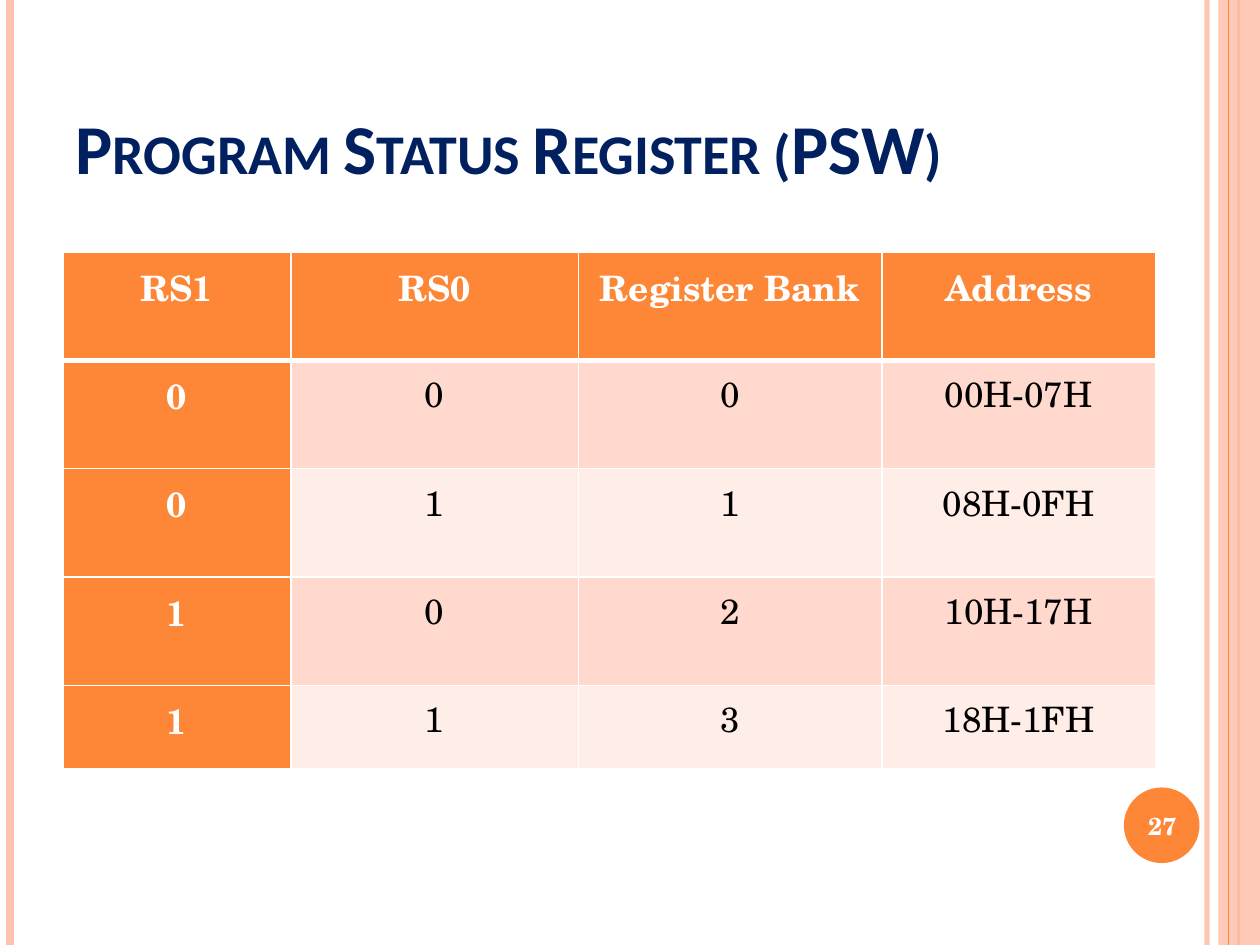
import pptx
import pptx.util
import pptx.dml.color
import pptx.enum.shapes
import pptx.enum.text
import pptx.oxml
import pptx.oxml.ns

TITLE = "Program Status Register (PSW)"
PAGE = "27"
ROWS = [
    ("RS1", "RS0", "Register Bank", "Address"),
    ("0", "0", "0", "00H-07H"),
    ("0", "1", "1", "08H-0FH"),
    ("1", "0", "2", "10H-17H"),
    ("1", "1", "3", "18H-1FH"),
]
WIDE = [1.81, 2.28, 2.41, 2.17]
HIGH = [0.86] * 4 + [0.66]
THEME = {
    "main": "FE8637", "pale": "FEC3AE", "navy": "002060", "white": "FFFFFF",
    "black": "000000", "bands": ("FFD9CE", "FFEDE8"),
    "head": "Calibri", "body": "TeX Gyre Schola",
    "big": 40, "mid": 20, "small": 14,
}
RULES = [
    (9.58, "pale", 3, 93),
    (0.08, "pale", 4.5, 100),
    (9.83, "main", 1.5, 100),
    (9.75, "main", 0.75, 100),
]
Inches, Pt = pptx.util.Inches, pptx.util.Pt
SHAPE = pptx.enum.shapes.MSO_SHAPE
ALIGN = pptx.enum.text.PP_ALIGN
ANCHOR = pptx.enum.text.MSO_ANCHOR
NS = pptx.oxml.ns.nsdecls("a")


def rgb(code):
    return pptx.dml.color.RGBColor.from_string(code)


def put(item, vals):
    for key, val in vals.items():
        setattr(item, key, val)


def fade(part, pct):
    if pct < 100:
        for tint in part.iter(pptx.oxml.ns.qn("a:srgbClr")):
            tint.append(pptx.oxml.parse_xml(f'<a:alpha {NS} val="{pct * 1000}"/>'))


def write(frame, text, face, size, color, bold=True, **form):
    para = frame.paragraphs[0]
    put(para, form)
    run = para.add_run()
    run.text = text
    put(run.font, {"name": THEME[face], "size": Pt(THEME[size]), "bold": bold})
    run.font.color.rgb = rgb(THEME[color])
    return run


def rule(slide, x, color, width, pct):
    line = slide.shapes.add_connector(
        pptx.enum.shapes.MSO_CONNECTOR.STRAIGHT, Inches(x), 0, Inches(x), Inches(7.5))
    line.line.width = Pt(width)
    line.line.color.rgb = rgb(THEME[color])
    props = line._element.spPr
    fade(props, pct)
    props.append(pptx.oxml.parse_xml(f"<a:effectLst {NS}/>"))


def block(slide, kind, box, color, pct=100):
    shape = slide.shapes.add_shape(kind, *map(Inches, box))
    shape.shadow.inherit = False
    shape.fill.solid()
    shape.fill.fore_color.rgb = rgb(THEME[color])
    shape.line.fill.background()
    fade(shape._element.spPr, pct)


def edge(cell, thick):
    props = cell._tc.get_or_add_tcPr()
    for spot, side in enumerate(("lnL", "lnR", "lnT", "lnB")):
        width = Pt(thick.get(side, 1))
        props.insert(spot, pptx.oxml.parse_xml(
            f'<a:{side} {NS} w="{width}"><a:solidFill>'
            f'<a:srgbClr val="{THEME["white"]}"/></a:solidFill></a:{side}>'))


def grid(slide):
    table = slide.shapes.add_table(
        len(ROWS), len(WIDE), Inches(0.5), Inches(2),
        Inches(sum(WIDE)), Inches(sum(HIGH))).table
    table.first_col = True
    for col, width in zip(table.columns, WIDE):
        col.width = Inches(width)
    for r, (row, high) in enumerate(zip(ROWS, HIGH)):
        table.rows[r].height = Inches(high)
        for c, text in enumerate(row):
            cell = table.cell(r, c)
            key = r == 0 or c == 0
            put(cell, {"margin_left": Inches(0.07), "margin_right": Inches(0.07),
                       "margin_top": 0, "margin_bottom": 0})
            cell.fill.solid()
            cell.fill.fore_color.rgb = rgb(
                THEME["main"] if key else THEME["bands"][(r - 1) % 2])
            edge(cell, {0: {"lnB": 3}, 1: {"lnT": 3}}.get(r, {}))
            write(cell.text_frame, text, "body", "mid", "white" if key else "black",
                  key, alignment=ALIGN.CENTER, line_spacing=1.15, space_after=Pt(10))


def main():
    deck = pptx.Presentation()
    put(deck, {"slide_width": Inches(10), "slide_height": Inches(7.5)})
    slide = deck.slides.add_slide(deck.slide_layouts[5])
    for item in RULES[:3]:
        rule(slide, *item)
    block(slide, SHAPE.RECTANGLE, (9.67, 0, 0.33, 7.5), "pale", 87)
    rule(slide, *RULES[3])
    block(slide, SHAPE.OVAL, (8.92, 6.25, 0.6, 0.6), "main")

    title = slide.shapes.title
    put(title, {"left": Inches(0.5), "top": Inches(0.3),
                "width": Inches(8.17), "height": Inches(1.25)})
    put(title.text_frame, {"vertical_anchor": ANCHOR.BOTTOM, "word_wrap": True,
                           "auto_size": pptx.enum.text.MSO_AUTO_SIZE.NONE})
    run = write(title.text_frame, TITLE, "head", "big", "navy", alignment=ALIGN.LEFT)
    run._r.get_or_add_rPr().set("cap", "small")

    grid(slide)
    page = slide.shapes.add_textbox(*map(Inches, (8.89, 6.27, 0.67, 0.57))).text_frame
    put(page, {"vertical_anchor": ANCHOR.MIDDLE, "word_wrap": True})
    write(page, PAGE, "body", "small", "white", alignment=ALIGN.CENTER)
    deck.save("out.pptx")


if __name__ == "__main__":
    main()
